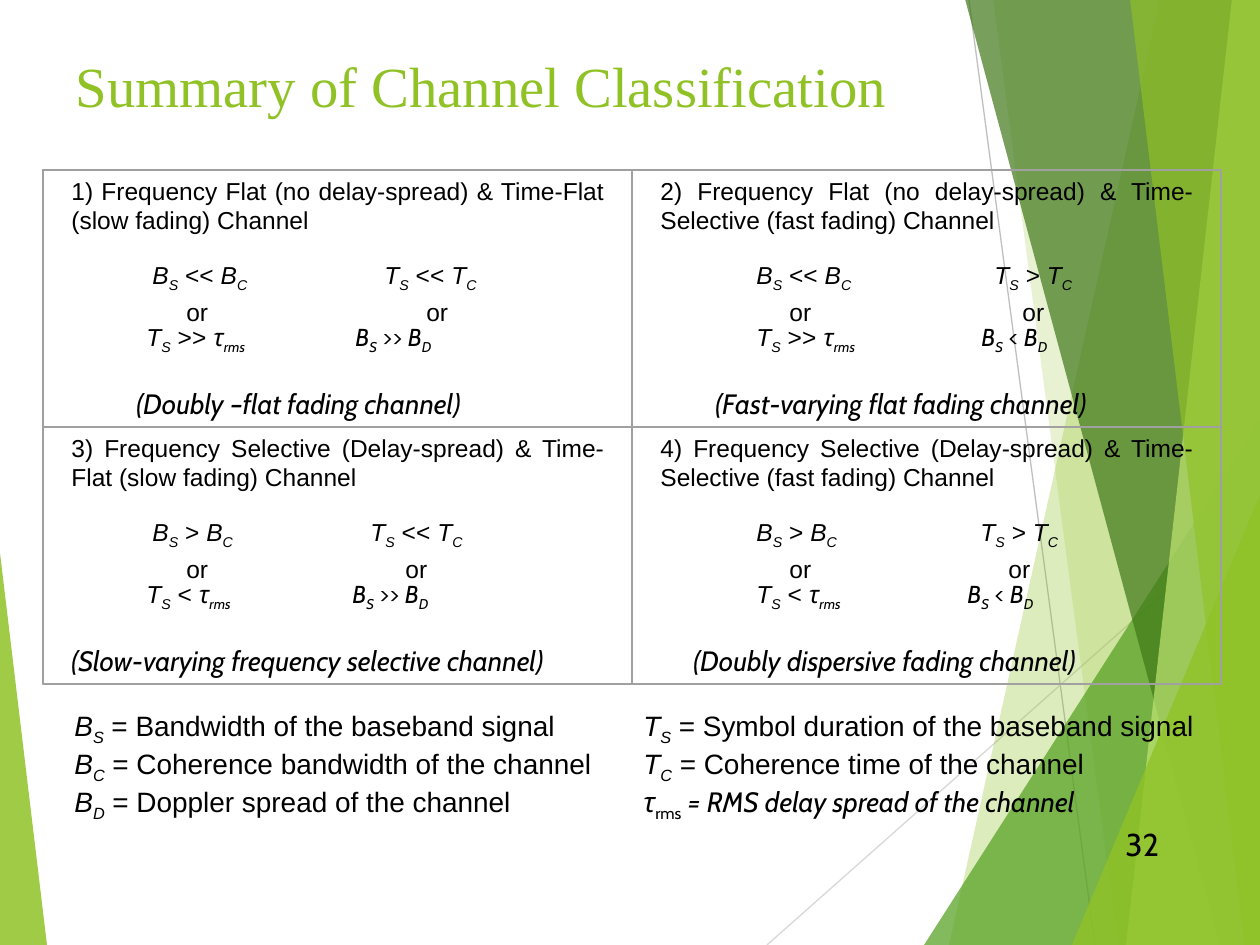
from lxml.etree import SubElement
from pptx import Presentation
from pptx.dml.color import RGBColor
from pptx.enum.shapes import MSO_CONNECTOR as CONN, MSO_SHAPE as SHAPE
from pptx.enum.text import MSO_ANCHOR as ANCHOR, PP_ALIGN as ALIGN
from pptx.oxml.ns import qn
from pptx.util import Emu, Pt

SCALE = 914400 / 126
WIDTH, HEIGHT = 1260, 945
LIME = RGBColor(0x90, 0xC2, 0x26)
GREEN = RGBColor(0x54, 0xA0, 0x21)
FOREST = RGBColor(0x3F, 0x78, 0x18)
PALE = RGBColor(0xBF, 0xE4, 0x71)
GRAY = RGBColor(0xA0, 0xA0, 0xA0)
SILVER = RGBColor(0xBF, 0xBF, 0xBF)
MIST = RGBColor(0xD8, 0xD8, 0xD8)
BLACK = RGBColor(0, 0, 0)
ARIAL, CABIN, TIMES = "Arial", "Cabin", "Times New Roman"

CELLS = [
    ("1) Frequency Flat (no delay-spread) & Time-Flat (slow fading) Channel",
     [("\t{B_S} << {B_C}\t{T_S} << {T_C}", (81, 313)),
      ("\tor\tor", (115, 355)),
      ("\t{T_S} >> {τ_rms}\t{B_S} >> {B_D}", (75, 284))],
     "(Doubly –flat fading channel)", 65),
    ("2) Frequency Flat (no delay-spread) & Time-Selective (fast fading) Channel",
     [("\t{B_S} << {B_C}\t{T_S} > {T_C}", (96, 334)),
      ("\tor\tor", (129, 362)),
      ("\t{T_S} >> {τ_rms}\t{B_S} < {B_D}", (96, 321))],
     "(Fast-varying flat fading channel)", 55),
    ("3) Frequency Selective (Delay-spread) & Time-Flat (slow fading) Channel",
     [("\t{B_S} > {B_C}\t{T_S} << {T_C}", (81, 299)),
      ("\tor\tor", (115, 334)),
      ("\t{T_S} < {τ_rms}\t{B_S} >> {B_D}", (75, 281))],
     "(Slow-varying frequency selective channel)", 0),
    ("4) Frequency Selective (Delay-spread) & Time-Selective (fast fading) Channel",
     [("\t{B_S} > {B_C}\t{T_S} > {T_C}", (96, 320)),
      ("\tor\tor", (129, 348)),
      ("\t{T_S} < {τ_rms}\t{B_S} < {B_D}", (96, 307))],
     "(Doubly dispersive fading channel)", 33),
]
LEGEND = [
    ("\t{B_S} = Bandwidth of the baseband signal\t",
     "{T_S} = Symbol duration of the baseband signal", False),
    ("\t{B_C} = Coherence bandwidth of the channel\t",
     "{T_C} = Coherence time of the channel", False),
    ("\t{B_D} = Doppler spread of the channel\t",
     "{τ_rms} = RMS delay spread of the channel", True),
]


def px(n):
    """Turn px into EMU."""
    return Emu(round(n * SCALE))


def box_px(*lengths):
    """Turn a box in px into EMU lengths."""
    return [px(n) for n in lengths]


def apply(target, formats):
    """Set each attribute named in a dict of format values."""
    for name, value in formats.items():
        setattr(target, name, value)


def add_run(p, text, size, font=ARIAL, italic=False, color=BLACK, sub=False):
    """Append one formatted run."""
    r = p.add_run()
    r.text = text
    apply(r.font, {"size": Pt(size), "name": font, "italic": italic})
    r.font.color.rgb = color
    if sub:
        r.font._element.set("baseline", "-25000")


def add_math(p, markup, size, font=ARIAL, flipped=False):
    """Add text with {symbol_index} marks; Cabin takes over from the first τ."""
    plain, *terms = markup.split("{")
    if plain:
        add_run(p, plain, size, font, flipped)
    for term in terms:
        symbol, rest = term.split("}")
        base, index = symbol.split("_")
        font = CABIN if base == "τ" else font
        add_run(p, base, size, font, True)
        add_run(p, index, size, font, not flipped, sub=True)
        if rest:
            add_run(p, rest, size, font, flipped)


def set_tabs(p, stops):
    """Give a paragraph left tab stops."""
    tabs = SubElement(p._p.get_or_add_pPr(), qn("a:tabLst"))
    for stop in stops:
        SubElement(tabs, qn("a:tab"), pos=str(px(stop)), algn="l")


def text_frame(s, box):
    """Add a wrapping text box and return its frame."""
    tf = s.shapes.add_textbox(*box_px(*box)).text_frame
    tf.word_wrap = True
    return tf


def next_paragraph(tf, formats):
    """Return the empty first paragraph or a new one, formatted."""
    p = tf.paragraphs[0] if not tf.paragraphs[0].runs else tf.add_paragraph()
    apply(p, formats)
    return p


def add_frame(s, box):
    """Outline a box in gray."""
    sp = s.shapes.add_shape(SHAPE.RECTANGLE, *box_px(*box))
    sp.shadow.inherit = False
    sp.fill.background()
    sp.line.color.rgb = GRAY
    sp.line.width = Pt(0.75)


def paint(sp, color, alpha):
    """Fill a shape with a translucent colour and no outline."""
    sp.shadow.inherit = False
    sp.line.fill.background()
    sp.fill.solid()
    sp.fill.fore_color.rgb = color
    fill = sp._element.spPr.find(qn("a:solidFill"))
    SubElement(fill[0], qn("a:alpha"), val=str(alpha * 1000))


def add_line(s, ends, color):
    """Draw a thin straight line."""
    line = s.shapes.add_connector(CONN.STRAIGHT, *box_px(*ends))
    line.line.color.rgb = color
    line.line.width = Pt(0.75)
    SubElement(line._element.spPr, qn("a:effectLst"))


def add_blade(s, top_left, bottom_left, color, alpha):
    """Fill from a slanted left edge to the right side of the slide."""
    builder = s.shapes.build_freeform(top_left, -1, SCALE)
    builder.add_line_segments([(WIDTH, -1), (WIDTH, HEIGHT), (bottom_left, HEIGHT)])
    paint(builder.convert_to_shape(), color, alpha)


def add_wedge(s, box, apex, color, alpha):
    """Add a triangle with its apex at a share of its width."""
    sp = s.shapes.add_shape(SHAPE.ISOSCELES_TRIANGLE, *box_px(*box))
    sp.adjustments[0] = apex
    paint(sp, color, alpha)


def add_backdrop(s):
    """Build the green facets at both sides."""
    add_line(s, (969, 0, 1095, HEIGHT), SILVER)
    add_line(s, (WIDTH, 508, 767, HEIGHT), MIST)
    add_blade(s, 1160, 949, LIME, 30)
    add_blade(s, 993, 1118, LIME, 20)
    add_wedge(s, (924, 420, 336, 525), 1, GREEN, 72)
    add_blade(s, 965, 1220, FOREST, 70)
    add_blade(s, 1232, 1126, PALE, 70)
    add_blade(s, 1130, 1245, LIME, 65)
    add_wedge(s, (1072, 495, 188, 450), 1, LIME, 80)
    add_wedge(s, (0, 553, 47, 392), 0, LIME, 85)


def add_title(s, box):
    """Fill and place the title."""
    sp = s.shapes.title
    apply(sp, dict(zip(("left", "top", "width", "height"), box_px(*box))))
    tf = sp.text_frame
    apply(tf, {"vertical_anchor": ANCHOR.TOP, "margin_top": px(13)})
    p = next_paragraph(tf, {"alignment": ALIGN.LEFT})
    add_run(p, "Summary of Channel Classification", 32.4, TIMES, color=LIME)


def add_cell(s, box, heading, rows, caption, indent):
    """Build one class of channel: heading, conditions and caption."""
    left, top, width, height = box
    tf = text_frame(s, (left + 16, top, width - 31, height))
    spacing = {"line_spacing": px(29)}
    add_run(next_paragraph(tf, {**spacing, "alignment": ALIGN.JUSTIFY}), heading, 14)
    for (markup, stops), gap in zip(rows, (30, 4, 0)):
        p = next_paragraph(tf, {**spacing, "space_before": px(gap)})
        set_tabs(p, stops)
        add_math(p, markup, 14)
    p = next_paragraph(tf, {**spacing, "space_before": px(36)})
    p._p.get_or_add_pPr().set("marL", str(px(indent)))
    add_math(p, caption, 16, CABIN, True)
    add_frame(s, box)


def add_grid(s, box):
    """Lay the four classes out two by two."""
    left, top, width, height = box
    w, h = width // 2, height // 2
    for i, cell in enumerate(CELLS):
        add_cell(s, (left + i % 2 * w, top + i // 2 * h, w, h), *cell)
    add_frame(s, box)


def add_legend(s, box):
    """Explain the symbols in two columns."""
    tf = text_frame(s, box)
    for first, second, flipped in LEGEND:
        p = next_paragraph(tf, {"line_spacing": px(34), "space_after": px(4)})
        set_tabs(p, (62, 631))
        add_math(p, first, 16)
        add_math(p, second, 16, flipped=flipped)


def main():
    """Build and save the slide."""
    prs = Presentation()
    prs.slide_width, prs.slide_height = box_px(WIDTH, HEIGHT)
    s = prs.slides.add_slide(prs.slide_layouts[5])
    add_backdrop(s)
    add_run(text_frame(s, (1113, 819, 116, 50)).paragraphs[0], "32", 18, CABIN)
    add_title(s, (63, 38, 1134, 67))
    add_grid(s, (43, 170, 1178, 514))
    add_legend(s, (0, 707, WIDTH, 113))
    prs.save("out.pptx")


if __name__ == "__main__":
    main()
